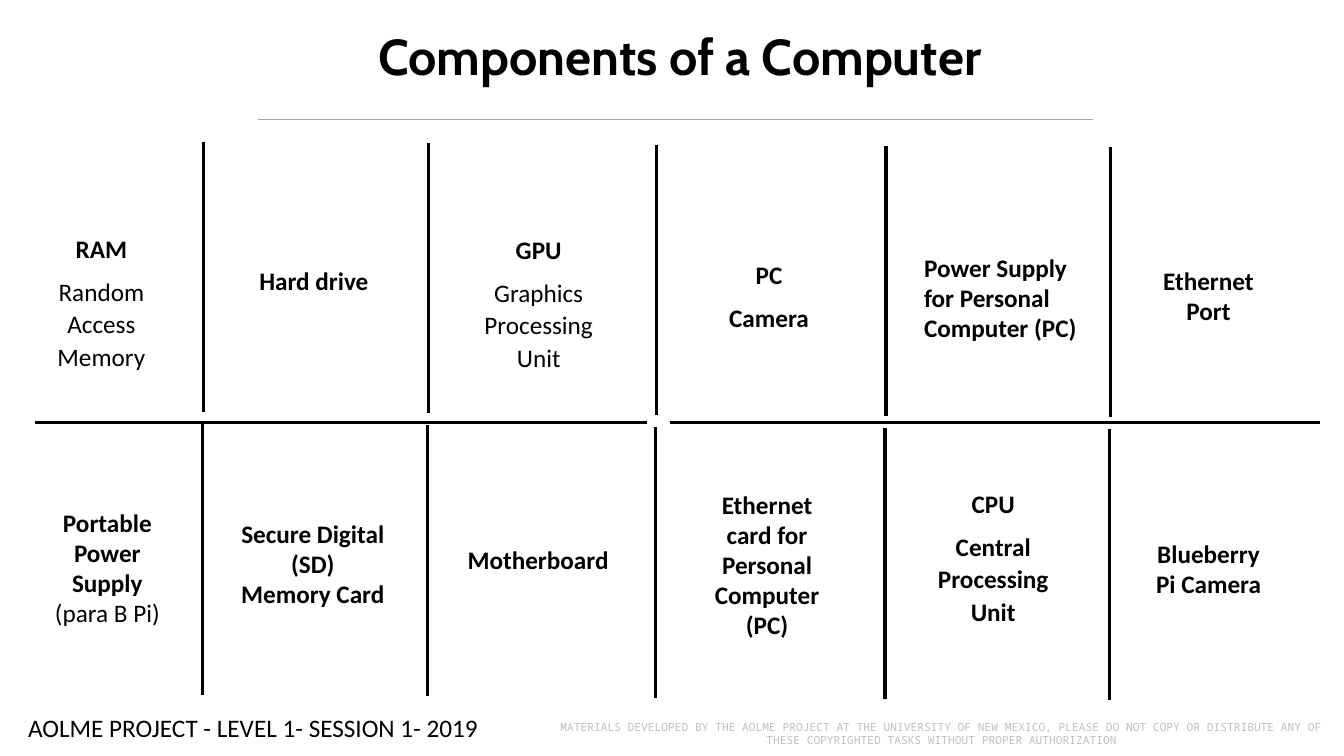
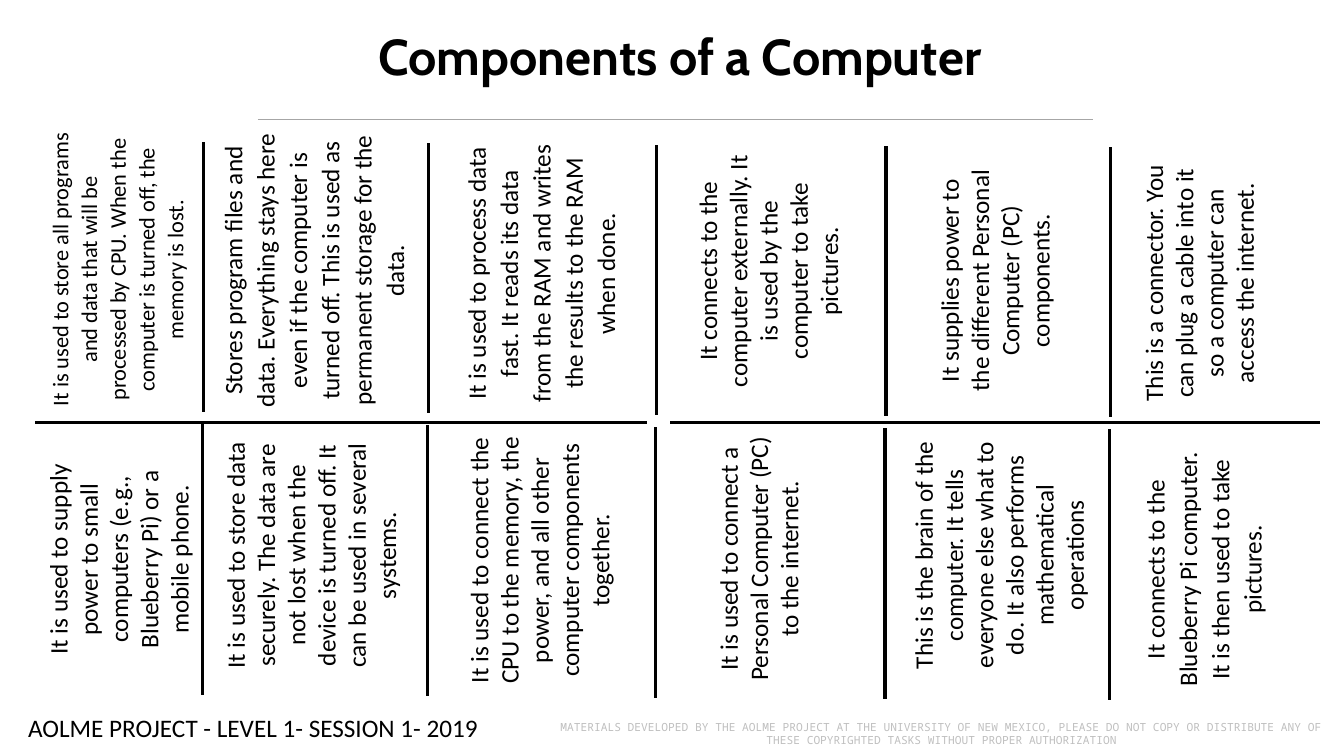
"""Build two matching card sheets: computer component names and what they do."""
from lxml.etree import SubElement
from pptx import Presentation
from pptx.dml.color import RGBColor
from pptx.enum.shapes import MSO_CONNECTOR
from pptx.enum.text import MSO_ANCHOR, MSO_AUTO_SIZE, PP_ALIGN
from pptx.oxml.ns import qn
from pptx.util import Pt

BLACK, RULE_GREY, NOTICE_GREY = "000000", "A6A6A6", "BFBFBF"
TITLE_FONT, BODY_FONT, NOTICE_FONT = "Cabin", "Calibri", "Noto Sans Mono"

TITLE = "Components of a Computer"
FOOTER = "AOLME PROJECT - LEVEL 1- SESSION 1- 2019"
NOTICE = (
    "MATERIALS DEVELOPED BY THE AOLME PROJECT AT THE UNIVERSITY OF NEW MEXICO, "
    "PLEASE DO NOT COPY OR DISTRIBUTE ANY OF THESE COPYRIGHTED TASKS WITHOUT "
    "PROPER AUTHORIZATION"
)

GRID_Y = 301.7
GRID_ROWS = [(25.2, 462.2), (478.8, 943.2)]
DIVIDERS = [(145.4, 101.5), (306, 102.2), (468.7, 103.7), (632.9, 104.4), (793.4, 105.1)]
DIVIDER_HEIGHT = 193
LOWER_SHIFT = (-0.7, 201.6)

STRONG = {"bold": True}
LOOSE = {"bold": True, "loose": True}
LOOSE_PLAIN = {"loose": True}

NAME_CARDS = [
    ((16.6, 161.3, 111.6, 104.4), [("RAM", LOOSE), ("Random Access Memory", LOOSE_PLAIN)], {}),
    ((177.8, 184.3, 92.9, 31), [("Hard drive", LOOSE)], {"wrap": False}),
    ((331.9, 162, 105.8, 104.4), [("GPU", LOOSE), ("Graphics Processing Unit", LOOSE_PLAIN)], {}),
    ((511.2, 180, 76.3, 60.5), [("PC", LOOSE), ("Camera", LOOSE)], {}),
    ((653, 176.4, 127.4, 72.7), [("Power Supply for Personal Computer (PC)", STRONG)],
     {"align": PP_ALIGN.LEFT}),
    ((822.2, 185.8, 82.1, 51.1), [("Ethernet Port", STRONG)], {}),
    ((28.1, 358.6, 97.2, 94.3),
     [([("Portable Power Supply ", True), ("(para B Pi)", False)], {})], {}),
    ((163.4, 366.5, 120.2, 72.7),
     [("Secure Digital", STRONG), ("(SD)", STRONG), ("Memory Card", STRONG)], {}),
    ((326.9, 385.2, 115.9, 28.8), [("Motherboard", STRONG)],
     {"align": PP_ALIGN.LEFT, "wrap": False}),
    ((499, 345.6, 97.9, 116.6), [("Ethernet card for Personal Computer (PC)", STRONG)], {}),
    ((656.6, 343.4, 105.8, 104.4), [("CPU", LOOSE), ("Central Processing Unit", LOOSE)], {}),
    ((812.9, 380.9, 100.8, 51.1), [("Blueberry Pi Camera", STRONG)], {}),
]

USE_CARDS = [
    ((-23.8, 137.5, 213.8, 110.2),
     "It is used to store all programs and data that will be processed by CPU. "
     "When the computer is turned off, the memory is lost.", {"loose": True, "size": 16}),
    ((115.2, 120.2, 216, 146.2),
     "Stores program files and data. Everything stays here even if the computer is "
     "turned off. This is used as permanent storage for the data.", LOOSE_PLAIN),
    ((285.1, 133.9, 200.9, 123.1),
     "It is used to process data fast. It reads its data from the RAM and writes "
     "the results to the RAM when done.", LOOSE_PLAIN),
    ((454.3, 135.4, 189.4, 116.6),
     "It connects to the computer externally. It is used by the computer to take pictures.", {}),
    ((619.9, 153.4, 181.4, 94.3),
     "It supplies power to the different Personal Computer (PC) components.", {}),
    ((775.4, 144, 184.3, 116.6),
     "This is a connector. You can plug a cable into it so a computer can access "
     "the internet.", {}),
    ((2.2, 341.3, 165.6, 116.6),
     "It is used to supply power to small computers (e.g., Blueberry Pi) or a "
     "mobile phone.", {}),
    ((133.9, 327.6, 177.1, 138.2),
     "It is used to store data securely. The data are not lost when the device is "
     "turned off. It can be used in several systems.", {}),
    ((288, 342, 195.1, 116.6),
     "It is used to connect the CPU to the memory, the power, and all other computer "
     "components together.", {}),
    ((441.4, 362.9, 200.9, 72.7),
     "It is used to connect a Personal Computer (PC) to the internet.", {}),
    ((623.5, 327.6, 180.7, 138.2),
     "This is the brain of the computer. It tells everyone else what to do. It also "
     "performs mathematical operations", {}),
    ((768.2, 356.4, 182.2, 100.8),
     "It connects to the Blueberry Pi computer. It is then used to take pictures.", LOOSE_PLAIN),
]


def color(value):
    return RGBColor.from_string(value)


def add_line(page, start, end, stroke=BLACK, width=2.25):
    line = page.shapes.add_connector(
        MSO_CONNECTOR.STRAIGHT, *(Pt(value) for value in (*start, *end)))
    line.line.color.rgb = color(stroke)
    line.line.width = Pt(width)
    SubElement(line._element.spPr, qn("a:effectLst"))


def write_paragraph(para, content, align, size=18, font=BODY_FONT, fill=BLACK,
                    bold=False, loose=False):
    para.alignment = align
    if loose:
        para.line_spacing = 1.07
        para.space_after = Pt(8)
    para.font.name = font
    para.font.size = Pt(size)
    para.font.color.rgb = color(fill)
    if isinstance(content, str):
        para.font.bold = bold
        para.add_run().text = content
        return
    for text, strong in content:
        span = para.add_run()
        span.text = text
        span.font.bold = strong


def add_text(page, place, paragraphs, align=PP_ALIGN.CENTER, wrap=True,
             anchor=MSO_ANCHOR.TOP, rotation=0):
    box = page.shapes.add_textbox(*(Pt(value) for value in place))
    box.rotation = rotation
    frame = box.text_frame
    frame.word_wrap = wrap
    frame.auto_size = MSO_AUTO_SIZE.SHAPE_TO_FIT_TEXT
    frame.vertical_anchor = anchor
    for index, (content, style) in enumerate(paragraphs):
        para = frame.add_paragraph() if index else frame.paragraphs[0]
        write_paragraph(para, content, align, **style)


def add_sheet(deck):
    page = deck.slides.add_slide(deck.slide_layouts[6])
    for left, right in GRID_ROWS:
        add_line(page, (left, GRID_Y), (right, GRID_Y))
    for x, top in DIVIDERS:
        for shift_x, shift_y in ((0, 0), LOWER_SHIFT):
            start = (x + shift_x, top + shift_y)
            add_line(page, start, (start[0], start[1] + DIVIDER_HEIGHT))
    add_line(page, (184.3, 85.7), (780.5, 85.7), RULE_GREY, 0.75)
    add_text(page, (13, 505.4, 344.2, 28.8), [(FOOTER, {})], PP_ALIGN.LEFT, wrap=False)
    add_text(page, (388.1, 510.5, 569.5, 26.6),
             [(NOTICE, {"size": 8, "font": NOTICE_FONT, "fill": NOTICE_GREY})],
             anchor=MSO_ANCHOR.MIDDLE)
    add_text(page, (16.6, 14.4, 938.2, 51.1),
             [(TITLE, {"size": 36, "font": TITLE_FONT, "bold": True})])
    return page


def main():
    deck = Presentation()
    deck.slide_width, deck.slide_height = Pt(960), Pt(540)
    names = add_sheet(deck)
    for place, paragraphs, options in NAME_CARDS:
        add_text(names, place, paragraphs, **options)
    uses = add_sheet(deck)
    for place, text, style in USE_CARDS:
        add_text(uses, place, [(text, style)], rotation=270)
    deck.save("out.pptx")


if __name__ == "__main__":
    main()
